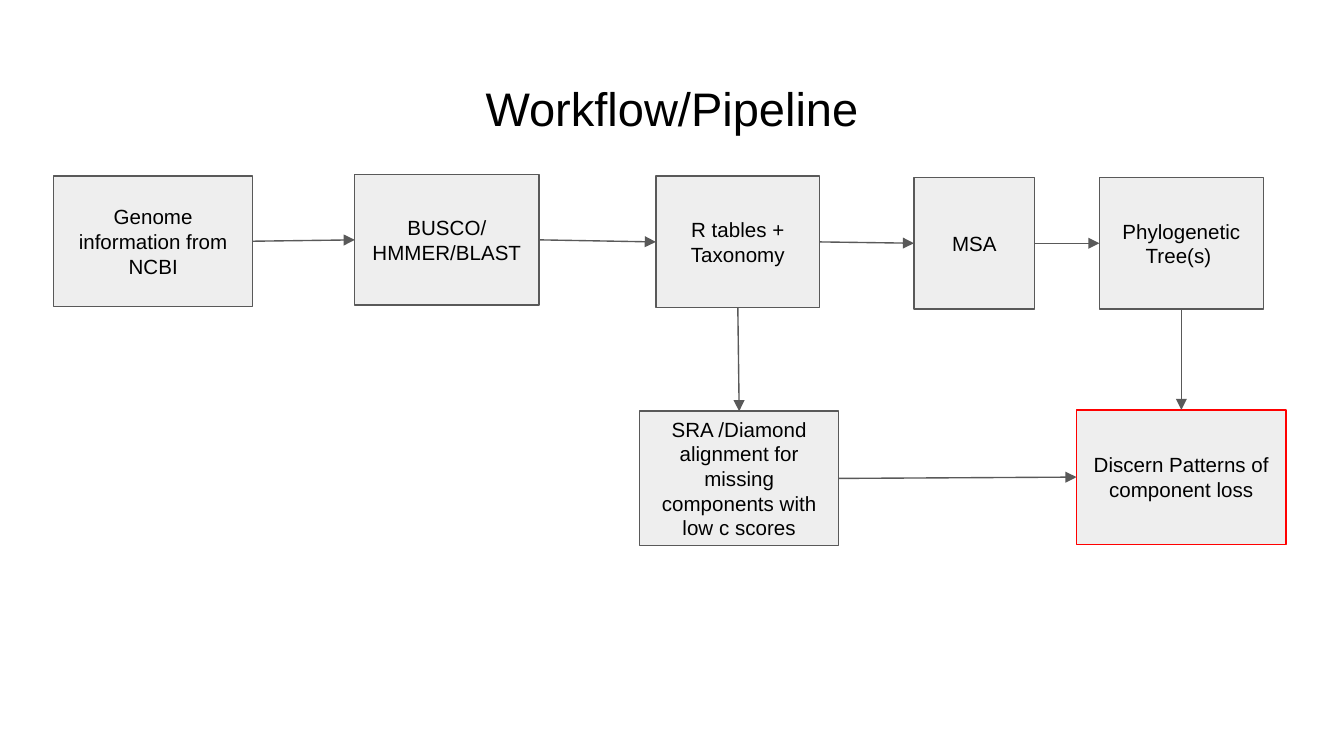
from lxml import etree
from pptx import Presentation
from pptx import util as u
from pptx.dml.color import RGBColor
from pptx.enum import shapes, text
from pptx.oxml import ns

BLACK = RGBColor(0x00, 0x00, 0x00)
GREY = RGBColor(0x59, 0x59, 0x59)
PALE = RGBColor(0xEE, 0xEE, 0xEE)
RED = RGBColor(0xFF, 0x00, 0x00)
TOP, LEFT, BOTTOM, RIGHT = range(4)

# Content: step -> (text, (left, top, width, height), outline colour)
TITLE = "Workflow/Pipeline"
STEPS = {
    "genomes": ("Genome information from NCBI", (0.4, 1.31, 1.48, 0.97), GREY),
    "search": ("BUSCO/HMMER/BLAST", (2.64, 1.3, 1.37, 0.97), GREY),
    "tables": ("R tables + Taxonomy", (4.88, 1.31, 1.22, 0.98), GREY),
    "msa": ("MSA", (6.8, 1.32, 0.9, 0.98), GREY),
    "trees": ("Phylogenetic Tree(s) ", (8.18, 1.32, 1.22, 0.98), GREY),
    "patterns": ("Discern Patterns of component loss", (8.01, 3.05, 1.56, 1), RED),
    "alignment": ("SRA /Diamond alignment for missing components with low c scores",
                  (4.76, 3.06, 1.48, 1), GREY),
}
ARROWS = [
    ("genomes", RIGHT, "search", LEFT),
    ("search", RIGHT, "tables", LEFT),
    ("tables", RIGHT, "msa", LEFT),
    ("msa", RIGHT, "trees", LEFT),
    ("trees", BOTTOM, "patterns", TOP),
    ("tables", BOTTOM, "alignment", TOP),
    ("alignment", RIGHT, "patterns", LEFT),
]


def write(shape, words, size, anchor=text.MSO_ANCHOR.MIDDLE, color=BLACK):
    frame = shape.text_frame
    frame.word_wrap = True
    frame.auto_size = text.MSO_AUTO_SIZE.NONE
    frame.vertical_anchor = anchor
    frame.margin_left = frame.margin_right = u.Inches(0.1)
    frame.margin_top = frame.margin_bottom = u.Inches(0.1)
    paragraph = frame.paragraphs[0]
    paragraph.alignment = text.PP_ALIGN.CENTER
    paragraph.line_spacing = 1.0
    run = paragraph.add_run()
    run.text = words
    run.font.name = "Arial"
    run.font.size = u.Pt(size)
    run.font.color.rgb = color


def add_step(slide, words, box, outline):
    shape = slide.shapes.add_shape(shapes.MSO_SHAPE.RECTANGLE, *map(u.Inches, box))
    shape.shadow.inherit = False
    shape.fill.solid()
    shape.fill.fore_color.rgb = PALE
    shape.line.color.rgb = outline
    shape.line.width = u.Pt(0.75)
    write(shape, words, 11)
    return shape


def add_arrow(slide, start, start_side, end, end_side):
    arrow = slide.shapes.add_connector(shapes.MSO_CONNECTOR.STRAIGHT, 0, 0, 0, 0)
    arrow.begin_connect(start, start_side)
    arrow.end_connect(end, end_side)
    arrow.line.color.rgb = GREY
    arrow.line.width = u.Pt(0.75)
    properties = arrow.line._get_or_add_ln()
    etree.SubElement(properties, ns.qn("a:tailEnd"), type="triangle")
    etree.SubElement(properties.getparent(), ns.qn("a:effectLst"))


def main():
    # Widescreen page, 16:9
    presentation = Presentation()
    presentation.slide_width = u.Inches(10)
    presentation.slide_height = u.Inches(10 * 9 / 16)
    slide = presentation.slides.add_slide(presentation.slide_layouts[5])

    # Title
    title = slide.shapes.title
    title.left, title.top, title.width, title.height = map(u.Inches, (0.34, 0.49, 9.32, 0.63))
    write(title, TITLE, 25.2, anchor=text.MSO_ANCHOR.TOP)

    # Steps, then the arrows that join them
    boxes = {name: add_step(slide, *step) for name, step in STEPS.items()}
    for start, start_side, end, end_side in ARROWS:
        add_arrow(slide, boxes[start], start_side, boxes[end], end_side)

    presentation.save("out.pptx")


if __name__ == "__main__":
    main()
